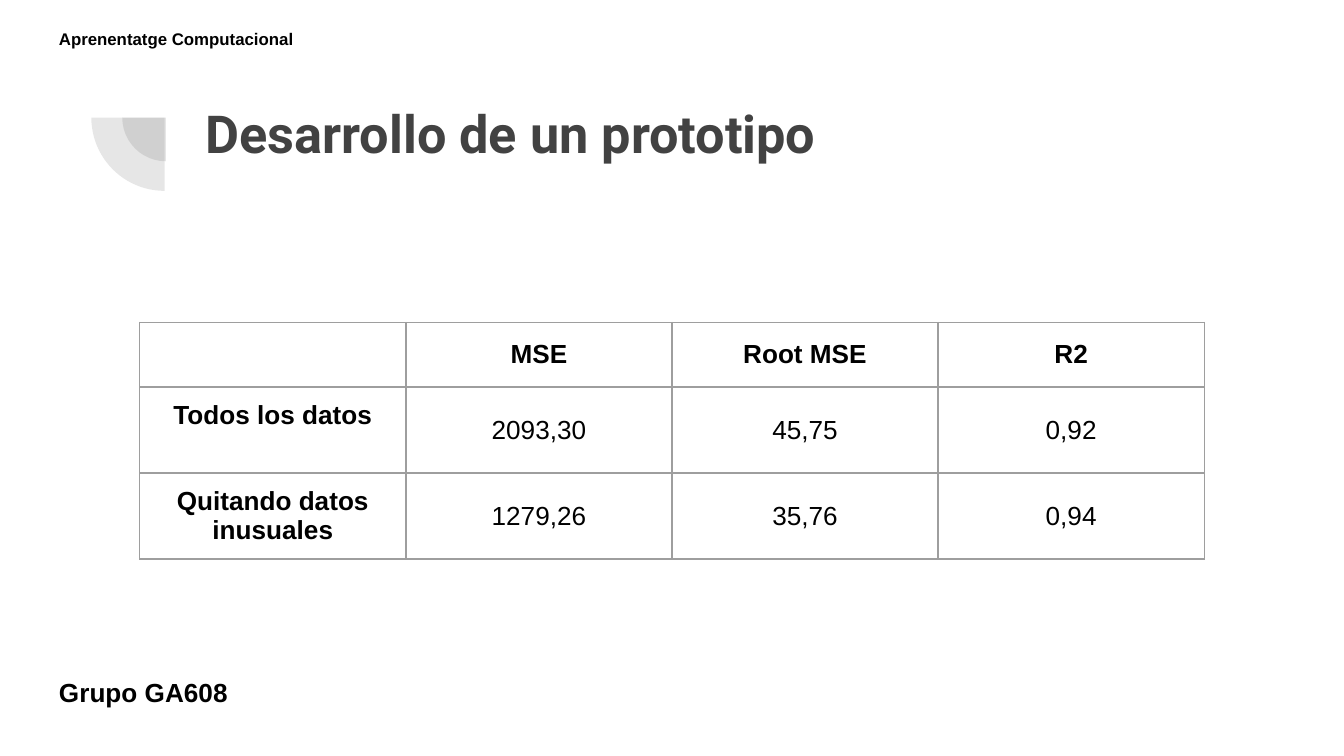
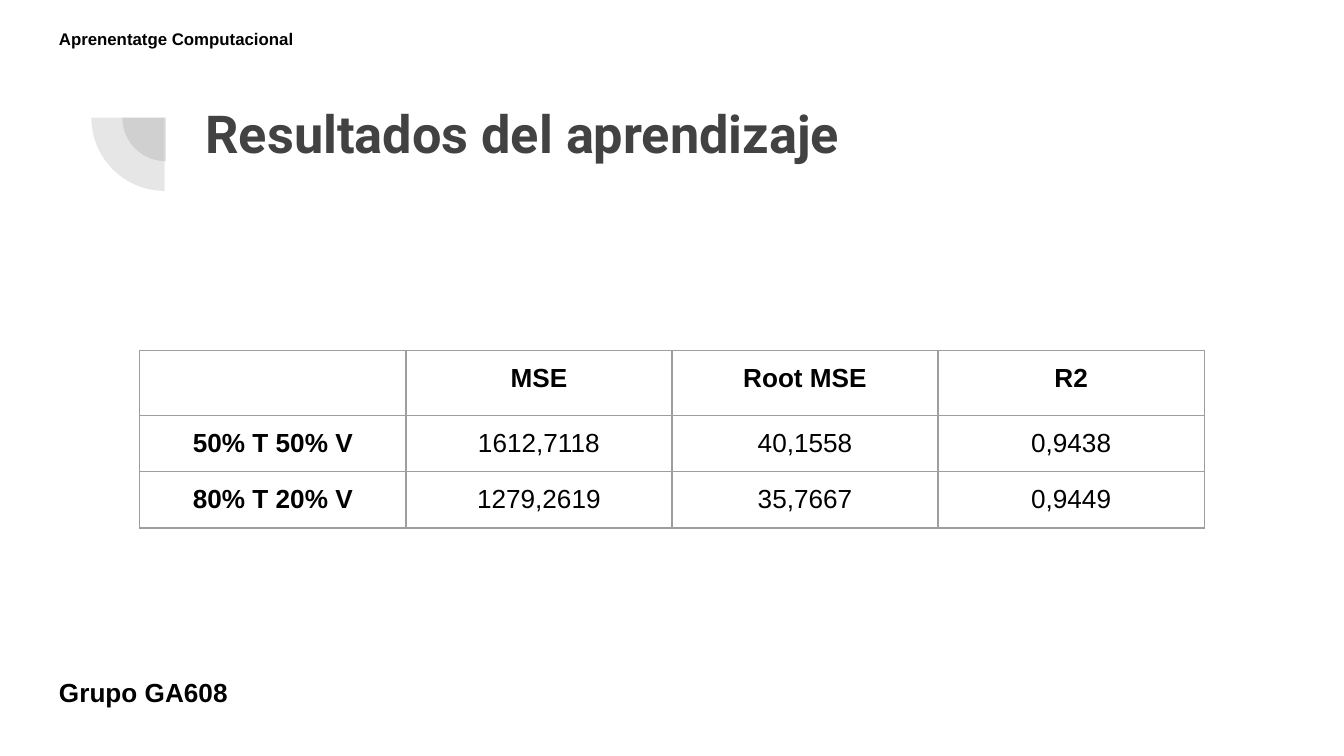
from lxml import etree
from pptx import Presentation
from pptx import util as u
from pptx.dml.color import RGBColor
from pptx.enum import shapes, text
from pptx.oxml.ns import qn

HUES = {"dark": "424242", "ink": "000000", "rule": "9E9E9E", "page": "FFFFFF"}
HEAD = ["", "MSE", "Root MSE", "R2"]
TOP, MID = text.MSO_ANCHOR.TOP, text.MSO_ANCHOR.MIDDLE


def hue(name):
    return RGBColor.from_string(HUES[name])


class Deck:
    def __init__(self):
        self.prs = Presentation()
        self.prs.slide_width = u.Inches(10)
        self.prs.slide_height = u.Inches(10 * 9 / 16)
        self.slide = None

    def start(self, title):
        self.slide = self.prs.slides.add_slide(self.prs.slide_layouts[5])
        fill = self.slide.background.fill
        fill.solid()
        fill.fore_color.rgb = hue("page")
        self.pie(0.91, 0.55, 0.65)
        self.pie(0.68, 0.33, 1.09)
        self.title(title)
        self.label("Aprenentatge Computacional", 0.34, 0.11, 2.97, 0.42, 9)
        self.label("Grupo GA608", 0.34, 4.93, 1.91, 0.47, 14)

    def pie(self, left, top, size):
        side = u.Inches(size)
        pie = self.slide.shapes.add_shape(
            shapes.MSO_SHAPE.PIE, u.Inches(left), u.Inches(top), side, side)
        pie.adjustments[0], pie.adjustments[1] = 108, 162
        pie.rotation = 270
        pie.shadow.inherit = False
        pie.line.fill.background()
        pie.fill.solid()
        pie.fill.fore_color.rgb = hue("dark")
        tint = pie.fill._xPr.find(".//" + qn("a:srgbClr"))
        etree.SubElement(tint, qn("a:alpha"), val="13000")

    def style(self, frame, size, bold=True, font="Arial", color="ink", align=text.PP_ALIGN.LEFT):
        for par in frame.paragraphs:
            par.alignment = align
            if not par.runs:
                etree.SubElement(par._p, qn("a:endParaRPr"), sz=str(size * 100))
            for run in par.runs:
                run.font.name = font
                run.font.size = u.Pt(size)
                run.font.bold = bold
                run.font.color.rgb = hue(color)

    def pad(self, frame):
        frame.word_wrap = True
        frame.auto_size = text.MSO_AUTO_SIZE.NONE
        frame.vertical_anchor = TOP
        for side in ("left", "top", "right", "bottom"):
            setattr(frame, "margin_" + side, u.Inches(0.1))

    def title(self, words):
        box = self.slide.shapes.title
        box.left, box.top = u.Inches(1.43), u.Inches(0.65)
        box.width, box.height = u.Inches(7.69), u.Inches(1.09)
        box.text_frame.text = words
        self.pad(box.text_frame)
        self.style(box.text_frame, 28, font="Roboto", color="dark")

    def label(self, words, left, top, width, height, size):
        box = self.slide.shapes.add_textbox(
            u.Inches(left), u.Inches(top), u.Inches(width), u.Inches(height))
        box.text_frame.text = words
        self.pad(box.text_frame)
        self.style(box.text_frame, size)

    def edge(self, cell):
        props = cell._tc.get_or_add_tcPr()
        for spot, tag in enumerate(("a:lnL", "a:lnR", "a:lnT", "a:lnB")):
            line = etree.Element(qn(tag), w=str(u.Pt(0.75)))
            fill = etree.SubElement(line, qn("a:solidFill"))
            etree.SubElement(fill, qn("a:srgbClr"), val=HUES["rule"])
            props.insert(spot, line)

    def table(self, top, highs, rows, anchor):
        grid = self.slide.shapes.add_table(
            len(rows), len(HEAD), u.Inches(1.04), u.Inches(top),
            u.Inches(1.98 * len(HEAD)), u.Inches(sum(highs))).table
        grid.first_row = grid.horz_banding = False
        for col in grid.columns:
            col.width = u.Inches(1.98)
        for r, (high, row) in enumerate(zip(highs, rows)):
            grid.rows[r].height = u.Inches(high)
            for c, words in enumerate(row):
                cell = grid.cell(r, c)
                cell.text_frame.text = words
                cell.vertical_anchor = anchor
                cell.margin_left = cell.margin_right = u.Inches(0.1)
                cell.margin_top = cell.margin_bottom = u.Inches(0.1)
                cell.fill.background()
                self.edge(cell)
                self.style(cell.text_frame, 14, bold=r == 0 or c == 0,
                           align=text.PP_ALIGN.CENTER)
        return grid


def main():
    deck = Deck()
    deck.start("Desarrollo de un prototipo")
    grid = deck.table(2.4, [0.48, 0.64, 0.64], [
        HEAD,
        ["Todos los datos", "2093,30", "45,75", "0,92"],
        ["Quitando datos inusuales", "1279,26", "35,76", "0,94"],
    ], MID)
    grid.cell(1, 0).vertical_anchor = TOP

    deck.start("Resultados del aprendizaje")
    deck.table(2.61, [0.48, 0.42, 0.42], [
        HEAD,
        ["50% T 50% V", "1612,7118", "40,1558", "0,9438"],
        ["80% T 20% V", "1279,2619", "35,7667", "0,9449"],
    ], TOP)
    deck.prs.save("out.pptx")


if __name__ == "__main__":
    main()
